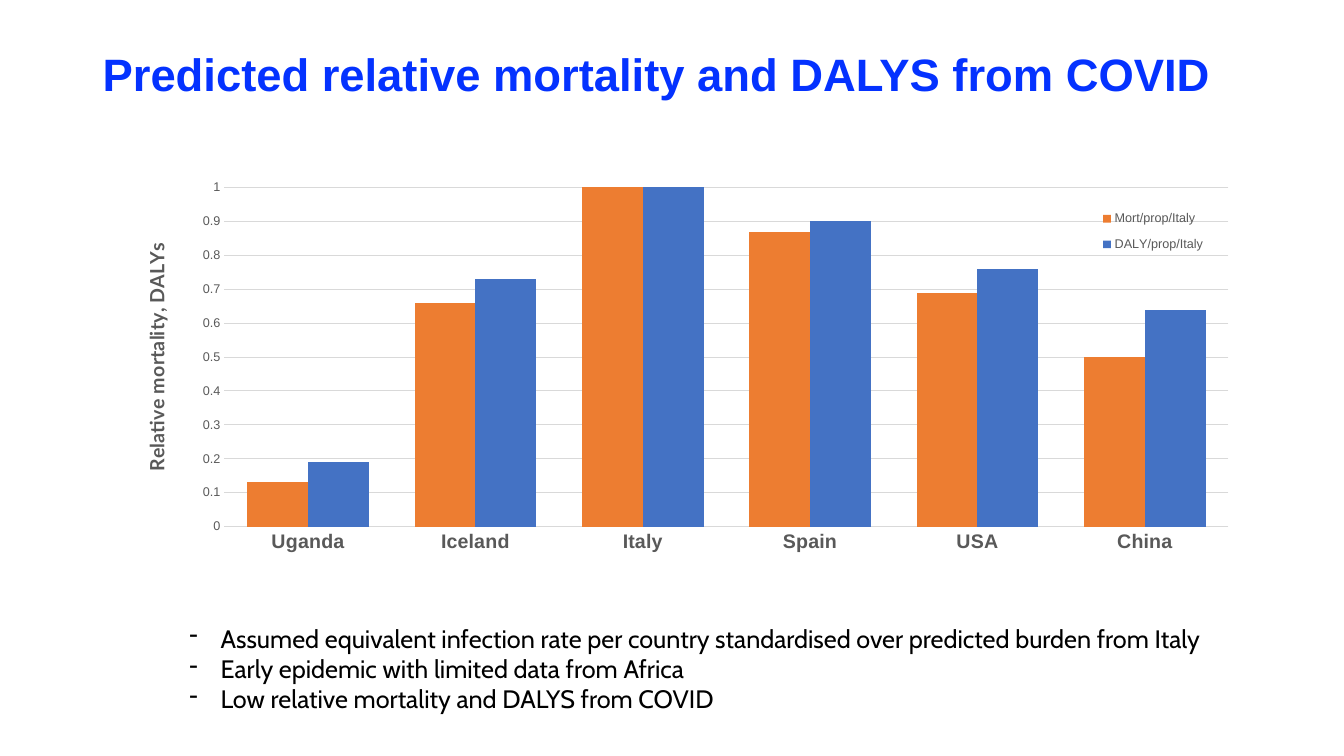
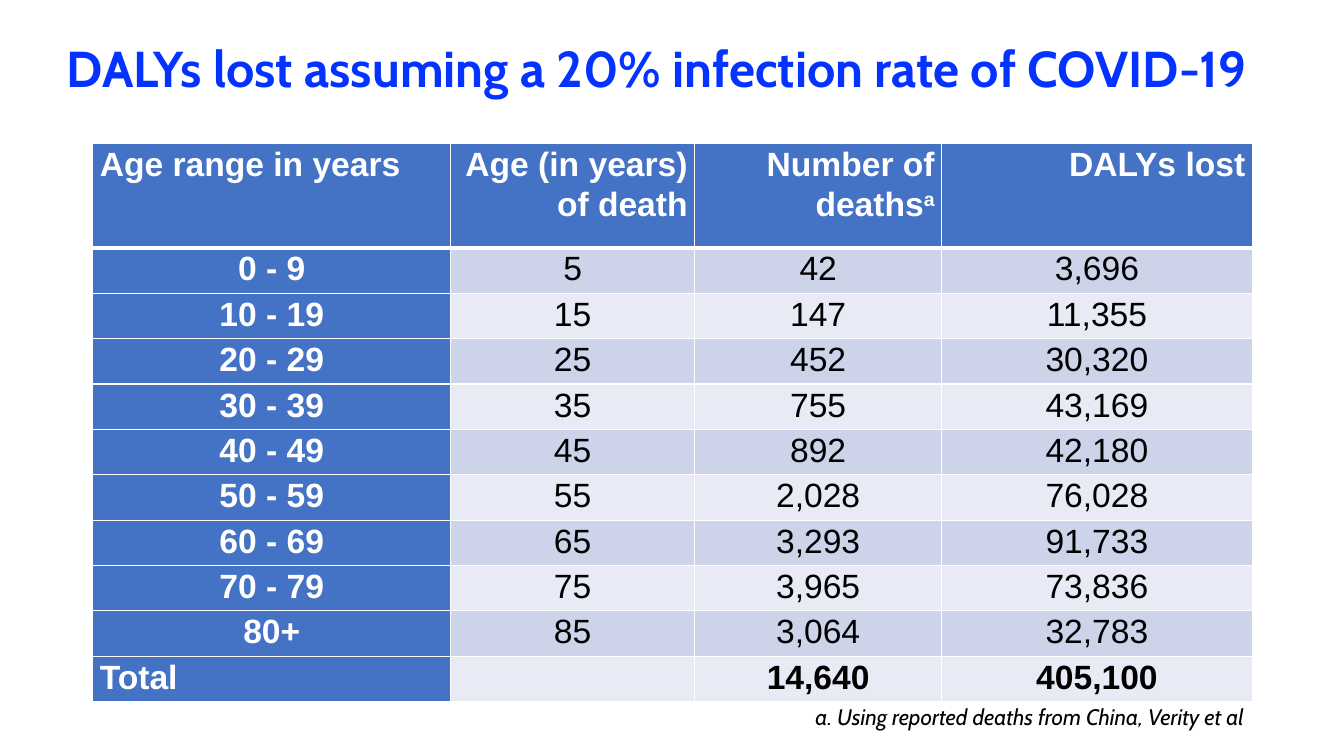
from dataclasses import dataclass

from lxml import etree
from pptx import Presentation
from pptx.chart.data import CategoryChartData
from pptx.dml.color import RGBColor
from pptx.enum import chart as charts, text
from pptx.oxml import ns
from pptx.util import Inches, Pt

# Shared colours and fonts
TITLE_BLUE = RGBColor(0x04, 0x32, 0xFF)
BLUE = RGBColor(0x44, 0x72, 0xC4)
ORANGE = RGBColor(0xED, 0x7D, 0x31)
BLACK = RGBColor(0, 0, 0)
WHITE = RGBColor(0xFF, 0xFF, 0xFF)
GREY = RGBColor(0x59, 0x59, 0x59)
GRID = RGBColor(0xD9, 0xD9, 0xD9)
BANDS = (RGBColor(0xCD, 0xD4, 0xEA), RGBColor(0xE8, 0xEB, 0xF5))
ARIAL, CABIN, LATO = "Arial", "Cabin", "Lato"
LEFT, CENTER, RIGHT = text.PP_ALIGN.LEFT, text.PP_ALIGN.CENTER, text.PP_ALIGN.RIGHT


@dataclass
class Style:
    size: float
    name: str = ARIAL
    color: RGBColor = BLACK
    bold: bool = False
    italic: bool = False


@dataclass
class Area:
    left: float
    top: float
    width: float
    height: float

    def inches(self) -> tuple:
        return tuple(Inches(v) for v in (self.left, self.top, self.width, self.height))


@dataclass
class Series:
    name: str
    values: tuple
    color: RGBColor


# Chart content
COUNTRIES = ("Uganda", "Iceland", "Italy", "Spain", "USA", "China")
SERIES = (
    Series("Mort/prop/Italy", (0.13, 0.66, 1, 0.87, 0.69, 0.5), ORANGE),
    Series("DALY/prop/Italy", (0.19, 0.73, 1, 0.9, 0.76, 0.64), BLUE),
)
FINDINGS = (
    "Assumed equivalent infection rate per country standardised over predicted burden from Italy",
    "Early epidemic with limited data from Africa",
    "Low relative mortality and DALYS from COVID",
)

# Table content
COLUMN_WIDTHS = (3.55, 2.42, 2.45, 3.08)
HEADER_HEIGHT, ROW_HEIGHT = 1.04, 0.45
ROWS = (
    ("Age range in years", "Age (in years) of death", "Number of deaths", "DALYs lost"),
    ("0 - 9", "5", "42", "3,696"),
    ("10 - 19", "15", "147", "11,355"),
    ("20 - 29", "25", "452", "30,320"),
    ("30 - 39", "35", "755", "43,169"),
    ("40 - 49", "45", "892", "42,180"),
    ("50 - 59", "55", "2,028", "76,028"),
    ("60 - 69", "65", "3,293", "91,733"),
    ("70 - 79", "75", "3,965", "73,836"),
    ("80+", "85", "3,064", "32,783"),
    ("Total", "", "14,640", "405,100"),
)
NOTE_MARK_CELL = (0, 2)


def apply_font(font, style: Style) -> None:
    font.size, font.name = Pt(style.size), style.name
    font.bold, font.italic = style.bold, style.italic
    font.color.rgb = style.color


def add_text(page, area: Area, lines: tuple, style: Style):
    box = page.shapes.add_textbox(*area.inches())
    frame = box.text_frame
    frame.word_wrap = True
    frame.text = "\n".join(lines)
    for para in frame.paragraphs:
        for span in para.runs:
            apply_font(span.font, style)
    return frame


def add_title(page, area: Area, title: str, size: float, font: str) -> None:
    frame = add_text(page, area, (title,), Style(size, font, TITLE_BLUE, bold=True))
    frame.vertical_anchor = text.MSO_ANCHOR.MIDDLE
    frame.paragraphs[0].line_spacing = 0.9


def add_dash(para) -> None:
    props = para._p.get_or_add_pPr()
    props.set("marL", str(Inches(0.31)))
    props.set("indent", str(-Inches(0.31)))
    etree.SubElement(props, ns.qn("a:buChar")).set("char", "-")


# Chart parts
def place(element, index: int, area: Area, inner: bool = False, sized: bool = True) -> None:
    """Give a chart part a fixed place, in fractions of the chart."""
    for old in element.findall(ns.qn("c:layout")):
        element.remove(old)
    layout = etree.Element(ns.qn("c:layout"))
    manual = etree.SubElement(layout, ns.qn("c:manualLayout"))
    settings = [("layoutTarget", "inner")] if inner else []
    settings += [("xMode", "edge"), ("yMode", "edge"), ("x", area.left), ("y", area.top)]
    if sized:
        settings += [("w", area.width), ("h", area.height)]
    for tag, value in settings:
        etree.SubElement(manual, ns.qn(f"c:{tag}")).set("val", str(value))
    element.insert(index, layout)


def style_line(line, color: RGBColor) -> None:
    line.color.rgb = color
    line.width = Pt(0.75)


def add_column_chart(page, area: Area) -> None:
    data = CategoryChartData()
    data.categories = COUNTRIES
    for series in SERIES:
        data.add_series(series.name, series.values)
    kind = charts.XL_CHART_TYPE.COLUMN_CLUSTERED
    chart = page.shapes.add_chart(kind, *area.inches(), data).chart
    chart.has_title = False
    apply_font(chart.font, Style(10))
    place(chart._chartSpace.chart.plotArea, 0, Area(0.104, 0.103, 0.866, 0.707), inner=True)

    plot = chart.plots[0]
    plot.gap_width, plot.overlap, plot.vary_by_categories = 75, 0, False
    for drawn, series in zip(plot.series, SERIES):
        drawn.format.fill.solid()
        drawn.format.fill.fore_color.rgb = series.color

    # Axes
    countries, scale = chart.category_axis, chart.value_axis
    for axis in (countries, scale):
        axis.major_tick_mark = axis.minor_tick_mark = charts.XL_TICK_MARK.NONE
    apply_font(countries.tick_labels.font, Style(14, color=GREY, bold=True))
    style_line(countries.format.line, GRID)
    apply_font(scale.tick_labels.font, Style(9, color=GREY))
    scale.minimum_scale, scale.maximum_scale, scale.major_unit = 0, 1, 0.1
    scale.format.line.fill.background()
    style_line(scale.major_gridlines.format.line, GRID)
    frame = scale.axis_title.text_frame
    frame.text = "Relative mortality, DALYs"
    apply_font(frame.paragraphs[0].runs[0].font, Style(14, LATO, GREY, bold=True))
    frame._txBody.bodyPr.set("rot", "-5400000")
    frame._txBody.bodyPr.set("vert", "horz")
    place(scale.axis_title._element, 1, Area(0.03, 0.21, 0, 0), sized=False)

    # Legend
    chart.has_legend = True
    chart.legend.position = charts.XL_LEGEND_POSITION.RIGHT
    chart.legend.include_in_layout = False
    apply_font(chart.legend.font, Style(9, color=GREY))
    place(chart.legend._element, 1, Area(0.84, 0.13, 0.13, 0.13))


# Table parts
def add_borders(cell, top: float, bottom: float) -> None:
    props = cell._tc.get_or_add_tcPr()
    for index, (side, width) in enumerate((("L", 1), ("R", 1), ("T", top), ("B", bottom))):
        line = etree.Element(ns.qn(f"a:ln{side}"), w=str(Pt(width)))
        fill = etree.SubElement(line, ns.qn("a:solidFill"))
        etree.SubElement(fill, ns.qn("a:srgbClr")).set("val", str(WHITE))
        props.insert(index, line)


def fill_cell(cell, row: int, column: int, value: str) -> None:
    total = row == len(ROWS) - 1
    heading = row == 0 or column == 0
    cell.fill.solid()
    cell.fill.fore_color.rgb = BLUE if heading else BANDS[(row - 1) % 2]
    add_borders(cell, top=3 if row == 1 else 1, bottom=3 if row == 0 else 1)
    cell.margin_left = cell.margin_right = Inches(0.07)
    cell.margin_top = cell.margin_bottom = 0
    para = cell.text_frame.paragraphs[0]
    para.text = value
    para.line_spacing = 1.07
    if column == 0 and (row == 0 or total):
        para.alignment = LEFT
    else:
        para.alignment = RIGHT if row == 0 else CENTER
    if (row, column) == NOTE_MARK_CELL:
        para.add_run().text = "a"
        para.runs[-1].font._element.set("baseline", "30000")
    style = Style(24, color=WHITE if heading else BLACK, bold=heading or total)
    for span in para.runs:
        apply_font(span.font, style)


def add_deaths_table(page, left: float, top: float) -> None:
    height = HEADER_HEIGHT + ROW_HEIGHT * (len(ROWS) - 1)
    area = Area(left, top, sum(COLUMN_WIDTHS), height)
    table = page.shapes.add_table(len(ROWS), len(COLUMN_WIDTHS), *area.inches()).table
    for column, width in zip(table.columns, COLUMN_WIDTHS):
        column.width = Inches(width)
    for row, values in enumerate(ROWS):
        table.rows[row].height = Inches(ROW_HEIGHT if row else HEADER_HEIGHT)
        for column, value in enumerate(values):
            fill_cell(table.cell(row, column), row, column, value)


# Slides
def add_mortality_slide(deck) -> None:
    page = deck.slides.add_slide(deck.slide_layouts[6])
    add_title(page, Area(0.92, 0.4, 11.5, 0.73),
              "Predicted relative mortality and DALYS from COVID", 32.4, ARIAL)
    frame = add_text(page, Area(1.78, 6.13, 10.81, 1.31), FINDINGS, Style(18, CABIN))
    for para in frame.paragraphs:
        add_dash(para)
    add_column_chart(page, Area(1.03, 1.37, 11.5, 4.76))


def add_dalys_slide(deck) -> None:
    page = deck.slides.add_slide(deck.slide_layouts[6])
    add_title(page, Area(0.56, 0.4, 12.31, 0.61),
              "DALYs lost assuming a 20% infection rate of COVID-19", 36, CABIN)
    add_deaths_table(page, 0.92, 1.42)
    add_text(page, Area(7.99, 6.93, 4.94, 0.37),
             ("a. Using reported deaths from China, Verity et al",),
             Style(16, CABIN, italic=True))


def main() -> None:
    deck = Presentation()
    deck.slide_width, deck.slide_height = Inches(13.33), Inches(7.5)
    add_mortality_slide(deck)
    add_dalys_slide(deck)
    deck.save("out.pptx")


if __name__ == "__main__":
    main()
